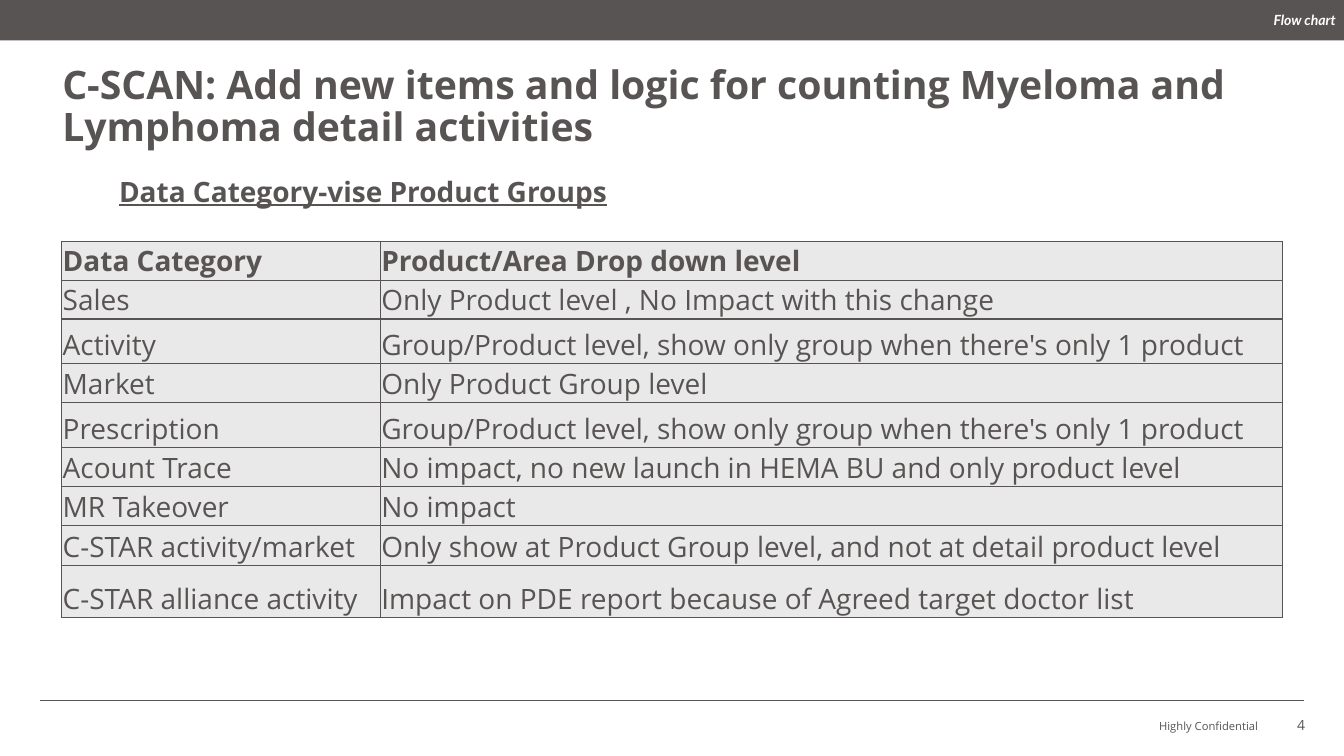
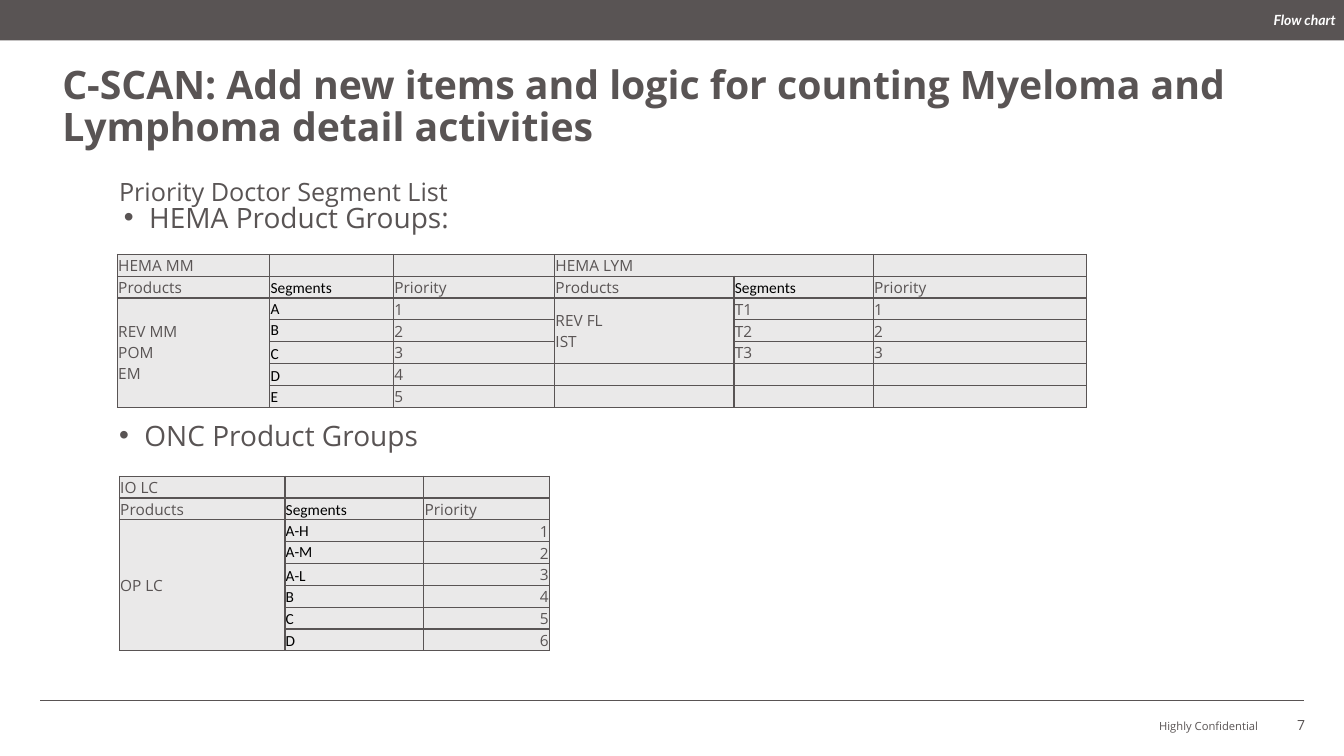
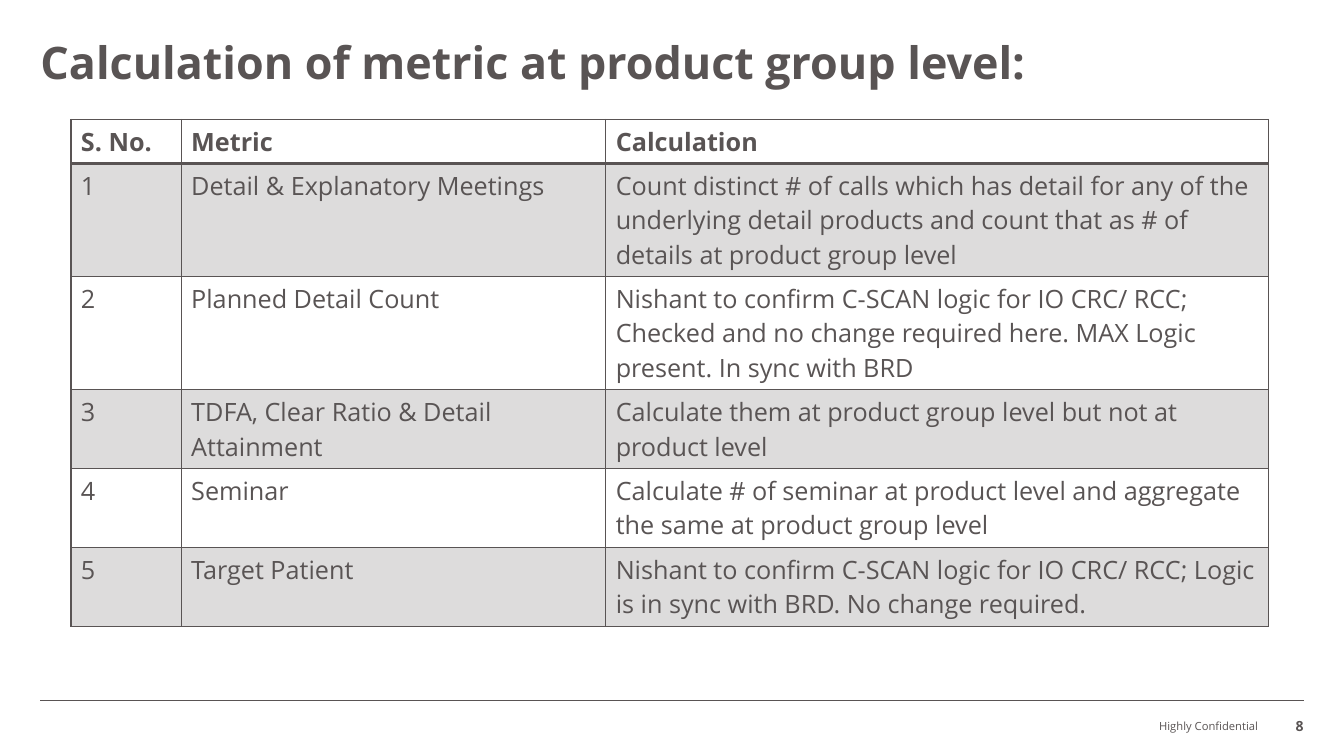
from copy import deepcopy
from dataclasses import dataclass
from typing import Any, Optional

from lxml import etree
from pptx import Presentation
from pptx import util as u
from pptx.dml import color as dml
from pptx.enum import shapes, text
from pptx.oxml import ns

COLORS = {"grey": "595454", "pale": "EAE9E9", "white": "FFFFFF", "black": "000000"}
FONT = "Open Sans"
TOP, MIDDLE, BOTTOM = (text.MSO_ANCHOR.TOP, text.MSO_ANCHOR.MIDDLE, text.MSO_ANCHOR.BOTTOM)
RIGHT = text.PP_ALIGN.RIGHT
NO_INSETS = (0, 0, 0, 0)
DEFAULT_INSETS = (0.25, 0.13, 0.25, 0.13)
TIGHT_INSETS = (0.02, 0.02, 0.02, 0)
CSCAN_TITLE = ("C-SCAN: Add new items and logic for counting Myeloma and "
               "Lymphoma detail activities")


@dataclass(frozen=True)
class Box:
    """A place on the slide, in centimetres."""
    left: float
    top: float
    width: float
    height: float

    def lengths(self) -> tuple:
        """Return the four measures as lengths."""
        return tuple(u.Cm(n) for n in (self.left, self.top, self.width, self.height))


@dataclass(frozen=True)
class Cell:
    """One table cell: its text, its look and how far it spans."""
    words: str = ""
    bold: bool = False
    font: str = FONT
    color: str = "grey"
    anchor: Any = BOTTOM
    align: Any = None
    rows: int = 1
    columns: int = 1


@dataclass(frozen=True)
class Grid:
    """A table; None in its cells marks a place covered by a span."""
    left: float
    top: float
    widths: list[float]
    heights: list[float]
    cells: list[list[Optional[Cell]]]
    size: int
    insets: tuple = TIGHT_INSETS
    fill: str = "pale"
    banded: bool = False


def rgb(name: str) -> dml.RGBColor:
    """Look up a named colour."""
    return dml.RGBColor.from_string(COLORS[name])


def write(frame: Any, words: str, *, size: int, font: str = FONT, color: str = "grey",
          bold: bool = False, italic: bool = False, underline: bool = False,
          align: Any = None, line_spacing: Optional[float] = None,
          space_before: Optional[int] = None,
          bullet_indent: Optional[float] = None) -> None:
    """Put formatted text into the first paragraph of a text frame."""
    paragraph = frame.paragraphs[0]
    paragraph.text = words
    paragraph.alignment = align
    if line_spacing:
        paragraph.line_spacing = line_spacing
    if space_before:
        paragraph.space_before = u.Pt(space_before)
    for run in paragraph.runs:
        run.font.name = font
        run.font.size = u.Pt(size)
        run.font.color.rgb = rgb(color)
        run.font.bold, run.font.italic, run.font.underline = bold, italic, underline
    for line_break in paragraph._p.findall(ns.qn("a:br")):
        line_break.append(deepcopy(paragraph.runs[0]._r.rPr))
    if not words:
        etree.SubElement(paragraph._p, ns.qn("a:endParaRPr"), sz=str(size * 100))
    if bullet_indent is not None:
        properties = paragraph._p.get_or_add_pPr()
        properties.set("marL", str(u.Cm(bullet_indent)))
        properties.set("indent", str(u.Cm(-0.64)))
        etree.SubElement(properties, ns.qn("a:buFont"), typeface="Arial")
        etree.SubElement(properties, ns.qn("a:buChar"), char="•")


def set_insets(target: Any, insets: tuple) -> None:
    """Set left, top, right and bottom margins of a cell or text frame."""
    for side, inset in zip(("left", "top", "right", "bottom"), insets):
        setattr(target, f"margin_{side}", u.Cm(inset))


def add_text(slide: Any, words: str, box: Box, *, insets: tuple = NO_INSETS,
             anchor: Any = TOP, **formatting: Any) -> None:
    """Add a wrapping text box."""
    frame = slide.shapes.add_textbox(*box.lengths()).text_frame
    frame.word_wrap = True
    frame.vertical_anchor = anchor
    set_insets(frame, insets)
    write(frame, words, **formatting)


def add_border(properties: Any, side: str, points: float) -> None:
    """Add one border line to a cell's properties."""
    line = etree.SubElement(properties, ns.qn(f"a:ln{side}"), w=str(u.Pt(points)))
    fill = etree.SubElement(line, ns.qn("a:solidFill"))
    etree.SubElement(fill, ns.qn("a:srgbClr"), val=COLORS["grey"])


def fill_cell(cell: Any, grid: Grid, row: int) -> None:
    """Fill a cell evenly, or tint every second row of a banded table."""
    if grid.banded and row % 2 == 0:
        cell.fill.background()
        return
    cell.fill.solid()
    cell.fill.fore_color.rgb = rgb("grey" if grid.banded else grid.fill)
    if grid.banded:
        tint = cell._tc.tcPr.find(ns.qn("a:solidFill")).find(ns.qn("a:srgbClr"))
        etree.SubElement(tint, ns.qn("a:alpha"), val="20000")


def add_grid(slide: Any, grid: Grid) -> None:
    """Draw a table with ruled cells."""
    box = Box(grid.left, grid.top, sum(grid.widths), sum(grid.heights))
    table = slide.shapes.add_table(len(grid.heights), len(grid.widths),
                                   *box.lengths()).table
    table.first_row = table.horz_banding = False
    for column, width in zip(table.columns, grid.widths):
        column.width = u.Cm(width)
    for row, height in zip(table.rows, grid.heights):
        row.height = u.Cm(height)
    for r, entries in enumerate(grid.cells):
        for c, entry in enumerate(entries):
            cell = table.cell(r, c)
            properties = cell._tc.get_or_add_tcPr()
            for side in "LRTB":
                header_rule = grid.banded and (r, side) in ((0, "B"), (1, "T"))
                add_border(properties, side, 2 if header_rule else 1)
            fill_cell(cell, grid, r)
            set_insets(cell, grid.insets)
            entry = entry or Cell()
            cell.vertical_anchor = entry.anchor
            write(cell.text_frame, entry.words, size=grid.size, font=entry.font,
                  color=entry.color, bold=entry.bold, align=entry.align)
            if entry.rows > 1 or entry.columns > 1:
                cell.merge(table.cell(r + entry.rows - 1, c + entry.columns - 1))


def add_slide(presentation: Any) -> Any:
    """Add a blank slide with the footer rule and label."""
    slide = presentation.slides.add_slide(presentation.slide_layouts[6])
    rule = slide.shapes.add_connector(shapes.MSO_CONNECTOR.STRAIGHT, u.Cm(1.02),
                                      u.Cm(17.65), u.Cm(32.85), u.Cm(17.65))
    rule.line.color.rgb = rgb("grey")
    rule.line.width = u.Pt(0.5)
    etree.SubElement(rule._element.spPr, ns.qn("a:effectLst"))
    add_text(slide, "Highly Confidential", Box(22.79, 17.86, 8.92, 0.64),
             insets=(0, 0, 0, 0.03), anchor=BOTTOM, size=8, align=RIGHT)
    return slide


def add_title(slide: Any, words: str, box: Box, size: int) -> None:
    """Add the slide title."""
    add_text(slide, words, box, size=size, bold=True, line_spacing=0.9)


def add_flow_slide(presentation: Any, number: str) -> Any:
    """Add a slide with the C-SCAN title, the top band and a page number."""
    slide = add_slide(presentation)
    add_title(slide, CSCAN_TITLE, Box(1.57, 1.65, 30.73, 2.18), 28)
    band = slide.shapes.add_shape(shapes.MSO_SHAPE.RECTANGLE,
                                  *Box(0, 0, 33.87, 1.02).lengths())
    band.shadow.inherit = False
    band.fill.solid()
    band.fill.fore_color.rgb = rgb("grey")
    band.line.fill.background()
    add_text(slide, "Flow chart", Box(27.43, 0, 6.43, 0.98), insets=(0.25, 0, 0.2, 0),
             anchor=MIDDLE, size=10, font="Lato", color="white", bold=True,
             italic=True, align=RIGHT)
    add_text(slide, number, Box(32.44, 17.93, 0.89, 0.64), insets=DEFAULT_INSETS, size=10)
    return slide


def segment(words: str, anchor: Any = BOTTOM) -> Cell:
    """Make a black segment cell."""
    return Cell(words, font="Calibri", color="black", anchor=anchor)


def text_rows(rows: list[tuple], anchor: Any) -> list[list[Cell]]:
    """Make cells from plain rows, the first of them bold."""
    return [[Cell(words, bold=r == 0, anchor=anchor) for words in row]
            for r, row in enumerate(rows)]


def category_slide(presentation: Any) -> None:
    """Product groups by data category."""
    slide = add_flow_slide(presentation, "4")
    add_text(slide, "Data Category-vise Product Groups", Box(3, 4.39, 19.33, 1.09),
             size=20, bold=True, underline=True, space_before=12)
    group_rule = "Group/Product level, show only group when there's only 1 product"
    categories = [
        ("Data Category", "Product/Area Drop down level"),
        ("Sales", "Only Product level , No Impact with this change"),
        ("Activity", group_rule),
        ("Market", "Only Product Group level"),
        ("Prescription", group_rule),
        ("Acount Trace", "No impact, no new launch in HEMA BU and only product level"),
        ("MR Takeover", "No impact"),
        ("C-STAR activity/market",
         "Only show at Product Group level, and not at detail product level"),
        ("C-STAR alliance activity",
         "Impact on PDE report because of Agreed target doctor list"),
    ]
    add_grid(slide, Grid(1.56, 6.08, [8.03, 22.73],
                         [0.98, 0.98, 1.12, 0.98, 1.14, 0.98, 0.98, 1.02, 1.3],
                         text_rows(categories, BOTTOM), size=20))


def segment_slide(presentation: Any) -> None:
    """Priority doctor segments by product group."""
    slide = add_flow_slide(presentation, "7")
    bullet = {"size": 20, "space_before": 12}
    add_text(slide, "HEMA Product Groups:", Box(1.86, 5.05, 28.5, 9.02),
             bullet_indent=1.9, **bullet)
    add_text(slide, "Priority Doctor Segment List", Box(3, 4.45, 19.33, 1.09),
             size=18, space_before=12)
    headings = [Cell("Products"), segment("Segments"), Cell("Priority")]
    anchors = [MIDDLE, TOP] + [BOTTOM] * 4

    hema = [[Cell("HEMA MM", anchor=MIDDLE), Cell(), Cell(),
             Cell("HEMA LYM", anchor=MIDDLE, columns=2), None, Cell()],
            headings * 2]
    for i, (letter, anchor) in enumerate(zip("ABCDE", anchors)):
        lymphoma = [None, Cell(f"T{i + 1}", anchor=anchor), Cell(str(i + 1))]
        hema.append([None, segment(letter, anchor), Cell(str(i + 1))]
                    + (lymphoma if i < 3 else [Cell()] * 3))
    hema[2][0] = Cell("REV MM\nPOM\nEM", anchor=MIDDLE, rows=5)
    hema[2][3] = Cell("REV FL\nIST", anchor=MIDDLE, rows=3)
    add_grid(slide, Grid(2.96, 6.41, [3.84, 3.12, 4.06, 4.52, 3.51, 5.38],
                         [0.55] * len(hema), hema, size=11))

    oncology = [[Cell("IO LC", anchor=MIDDLE), Cell(), Cell()], headings]
    for i, (name, anchor) in enumerate(zip(("A-H", "A-M", "A-L", "B", "C", "D"), anchors)):
        oncology.append([None, segment(name, anchor), Cell(str(i + 1), align=RIGHT)])
    oncology[2][0] = Cell("OP LC", anchor=MIDDLE, rows=6)
    add_grid(slide, Grid(3.01, 12, [4.17, 3.5, 3.17], [0.55] * len(oncology),
                         oncology, size=11))
    add_text(slide, "ONC Product Groups", Box(3, 10.54, 10.8, 0.46),
             bullet_indent=0.64, **bullet)


def metric_slide(presentation: Any) -> None:
    """How each metric is calculated."""
    slide = add_slide(presentation)
    add_title(slide, "Calculation of metric at product group level:",
              Box(1.02, 1.02, 31.83, 2.54), 32)
    add_text(slide, "8", Box(31.96, 17.86, 0.89, 0.64), anchor=BOTTOM, size=10,
             bold=True, align=RIGHT)
    metrics = [
        ("S. No.", "Metric", "Calculation"),
        ("1", "Detail & Explanatory Meetings",
         "Count distinct # of calls which has detail for any of the underlying detail "
         "products and count that as # of details at product group level"),
        ("2", "Planned Detail Count",
         "Nishant to confirm C-SCAN logic for IO CRC/ RCC; Checked and no change "
         "required here. MAX Logic present. In sync with BRD"),
        ("3", "TDFA, Clear Ratio & Detail Attainment",
         "Calculate them at product group level but not at product level"),
        ("4", "Seminar",
         "Calculate # of seminar at product level and aggregate the same at product "
         "group level"),
        ("5", "Target Patient",
         "Nishant to confirm C-SCAN logic for IO CRC/ RCC; Logic is in sync with BRD. "
         "No change required."),
    ]
    add_grid(slide, Grid(1.79, 3.01, [2.78, 10.7, 16.7],
                         [1.11, 2.85, 2.85, 1.99, 1.99, 1.99],
                         text_rows(metrics, TOP), size=18, insets=DEFAULT_INSETS,
                         banded=True))


def main() -> None:
    """Build and save the presentation."""
    presentation = Presentation()
    presentation.slide_width, presentation.slide_height = u.Cm(33.87), u.Cm(19.05)
    category_slide(presentation)
    segment_slide(presentation)
    metric_slide(presentation)
    presentation.save("out.pptx")


main()
